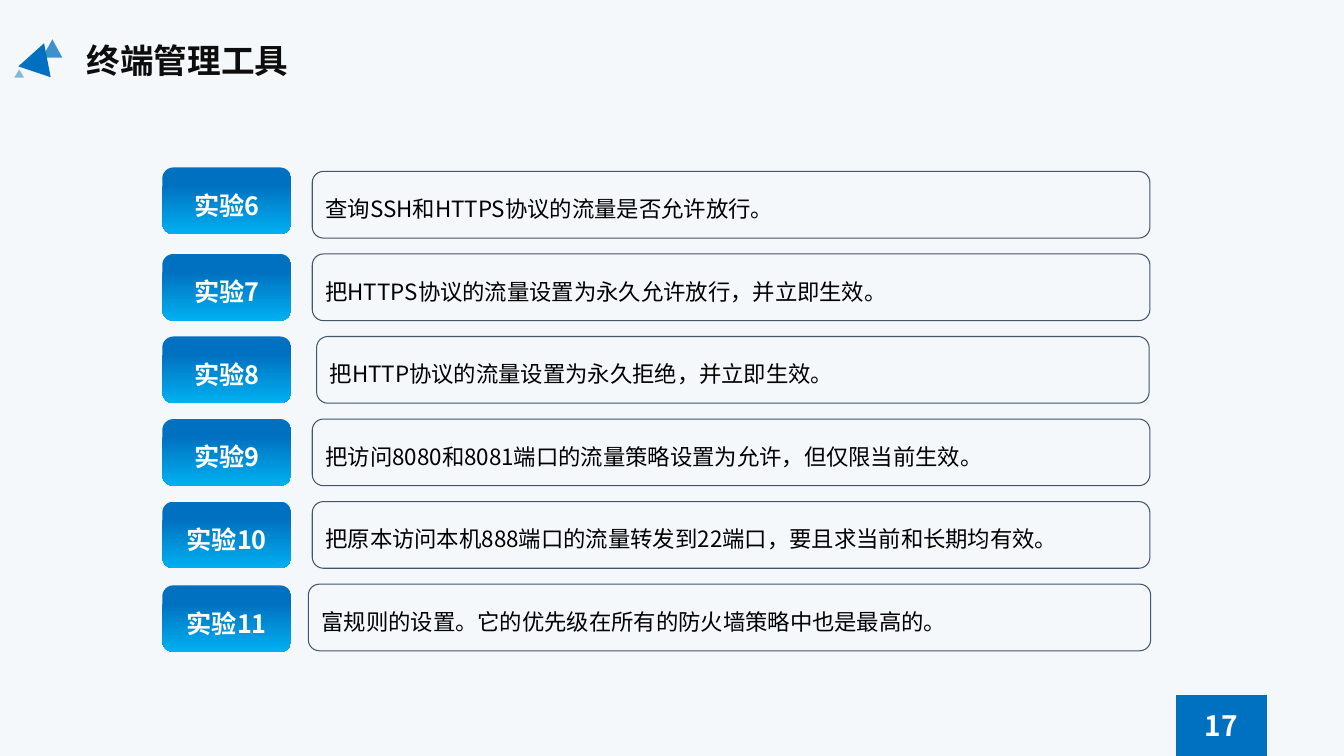
import pptx
import pptx.dml.color
import pptx.enum.shapes
import pptx.enum.text
import pptx.oxml.ns
import pptx.util
from lxml import etree

Cm = pptx.util.Cm
SHAPES = pptx.enum.shapes.MSO_SHAPE
ALIGN = pptx.enum.text.PP_ALIGN
ANCHOR = pptx.enum.text.MSO_ANCHOR
FONT = "Noto Sans CJK SC"
COLORS = {
    "background": "F5F8FB", "title": "0D0D0D", "blue": "0070C0", "sky": "00B0F0",
    "border": "44546A", "text": "000000", "white": "FFFFFF",
}

TITLE = "终端管理工具"
PAGE_NUMBER = "17"
# label, description, label shift down (cm), card left (cm), card right (cm)
EXPERIMENTS = [
    ("实验6", "查询SSH和HTTPS协议的流量是否允许放行。", -0.1, 7.87, 28.98),
    ("实验7", "把HTTPS协议的流量设置为永久允许放行，并立即生效。", 0, 7.87, 28.98),
    ("实验8", "把HTTP协议的流量设置为永久拒绝，并立即生效。", 0, 7.98, 28.96),
    ("实验9", "把访问8080和8081端口的流量策略设置为允许，但仅限当前生效。", 0, 7.87, 28.98),
    ("实验10", "把原本访问本机888端口的流量转发到22端口，要且求当前和长期均有效。", 0, 7.87, 28.98),
    ("实验11", "富规则的设置。它的优先级在所有的防火墙策略中也是最高的。", 0.03, 7.77, 29),
]
# left, top, width, height (cm), rotation, opacity (%)
TRIANGLES = [
    (1.07, 0.99, 0.5, 0.46, 0, 75),
    (0.56, 1.07, 0.86, 0.76, 18.5, 100),
    (0.36, 1.75, 0.25, 0.21, 0, 47),
]
FIRST_TOP, PITCH, ROW_HEIGHT = 4.32, 2.08, 1.68
LABEL_LEFT, LABEL_WIDTH = 4.09, 3.25

FORMATS = {
    "title": {"size": 24, "color": "title", "bold": True, "alignment": ALIGN.LEFT, "spacing": 1},
    "label": {"size": 18, "color": "white", "bold": True, "alignment": ALIGN.CENTER, "spacing": 1.3},
    "card": {"size": 16, "color": "text", "bold": False, "alignment": ALIGN.LEFT, "spacing": 1.3},
    "page": {"size": 20, "color": "white", "bold": True, "alignment": ALIGN.CENTER, "spacing": 1},
}


def rgb(name):
    return pptx.dml.color.RGBColor.from_string(COLORS[name])


def write(shape, text, format_name, anchor=ANCHOR.MIDDLE):
    style = FORMATS[format_name]
    frame = shape.text_frame
    frame_values = {"word_wrap": True, "vertical_anchor": anchor,
                    "auto_size": pptx.enum.text.MSO_AUTO_SIZE.NONE}
    for name, value in frame_values.items():
        setattr(frame, name, value)
    paragraph = frame.paragraphs[0]
    paragraph.alignment = style["alignment"]
    paragraph.line_spacing = style["spacing"]
    run = paragraph.add_run()
    run.text = text
    font_values = {"name": FONT, "size": pptx.util.Pt(style["size"]), "bold": style["bold"]}
    for name, value in font_values.items():
        setattr(run.font, name, value)
    run.font.color.rgb = rgb(style["color"])
    properties = run._r.get_or_add_rPr()
    etree.SubElement(properties, pptx.oxml.ns.qn("a:ea"), typeface=FONT)


def add_shape(slide, kind, left, top, width, height, fill=None):
    """Add a borderless shape; without a fill colour it is see-through."""
    shape = slide.shapes.add_shape(kind, Cm(left), Cm(top), Cm(width), Cm(height))
    shape.shadow.inherit = False
    shape.line.fill.background()
    if fill:
        shape.fill.solid()
        shape.fill.fore_color.rgb = rgb(fill)
    else:
        shape.fill.background()
    return shape


def add_triangles(slide):
    for left, top, width, height, rotation, opacity in TRIANGLES:
        triangle = add_shape(slide, SHAPES.ISOSCELES_TRIANGLE, left, top, width, height, "blue")
        triangle.rotation = rotation
        if opacity < 100:
            color = triangle._element.spPr.find(".//" + pptx.oxml.ns.qn("a:srgbClr"))
            etree.SubElement(color, pptx.oxml.ns.qn("a:alpha"), val=str(opacity * 1000))


def add_experiment(slide, index, label, description, shift, card_left, card_right):
    top = FIRST_TOP + index * PITCH
    badge = add_shape(slide, SHAPES.ROUNDED_RECTANGLE,
                      LABEL_LEFT, top + shift, LABEL_WIDTH, ROW_HEIGHT)
    badge.fill.gradient()
    badge.fill.gradient_angle = 270
    stops = ((0.25, "blue"), (1, "sky"))
    for stop, (position, color) in zip(badge.fill.gradient_stops, stops):
        stop.position = position
        stop.color.rgb = rgb(color)
    write(badge, label, "label")

    card = add_shape(slide, SHAPES.FLOWCHART_ALTERNATE_PROCESS,
                     card_left, top, card_right - card_left, ROW_HEIGHT)
    card.line.color.rgb = rgb("border")
    card.line.width = pptx.util.Pt(0.75)
    write(card, description, "card")


def main():
    presentation = pptx.Presentation()
    presentation.slide_width, presentation.slide_height = Cm(33.87), Cm(19.05)
    slide = presentation.slides.add_slide(presentation.slide_layouts[5])
    slide.background.fill.solid()
    slide.background.fill.fore_color.rgb = rgb("background")

    title = slide.shapes.title
    place = {"left": 1.93, "top": 0.89, "width": 16.46, "height": 1.28}
    for name, value in place.items():
        setattr(title, name, Cm(value))
    write(title, TITLE, "title", ANCHOR.TOP)

    add_triangles(slide)
    for index, experiment in enumerate(EXPERIMENTS):
        add_experiment(slide, index, *experiment)

    page = add_shape(slide, SHAPES.RECTANGLE, 29.64, 17.52, 2.29, 1.53, "blue")
    write(page, PAGE_NUMBER, "page")
    presentation.save("out.pptx")


if __name__ == "__main__":
    main()
